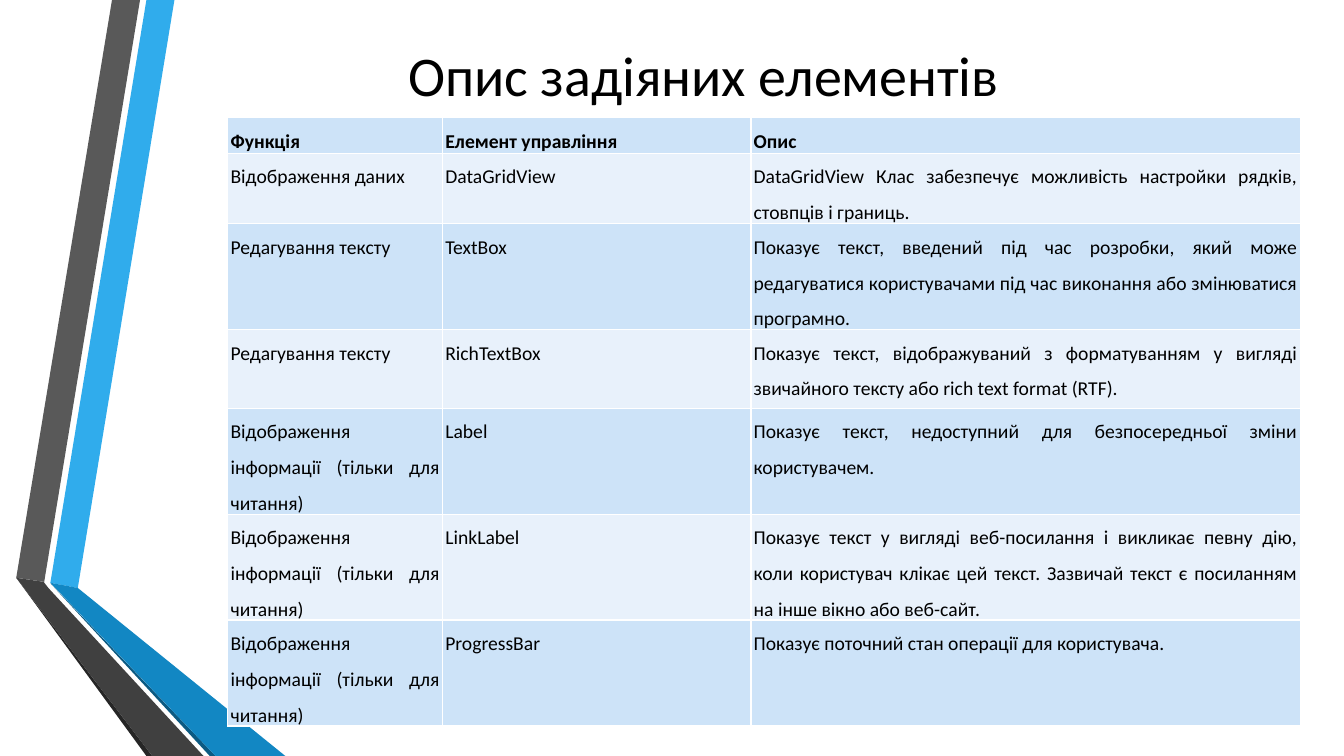
from typing import NamedTuple

from lxml import etree
from pptx import Presentation
from pptx.dml.color import RGBColor
from pptx.enum.text import MSO_ANCHOR, PP_ALIGN
from pptx.oxml.ns import qn
from pptx.util import Pt

MIDDLE, TOP = MSO_ANCHOR.MIDDLE, MSO_ANCHOR.TOP
CENTER, JUSTIFY = PP_ALIGN.CENTER, PP_ALIGN.JUSTIFY
FONT = "Calibri"
BLACK, WHITE = "000000", "FFFFFF"
BANDS = ("CDE3F8", "E8F1FB")


class Strip(NamedTuple):
    fill: str
    points: list[tuple[float, float]]


class Row(NamedTuple):
    height: float
    texts: tuple[str, str, str]


STRIPS = [
    Strip("30ACEC", [(36, 416.3), (55.6, 420), (124.6, 0), (104.6, 0)]),
    Strip("595959", [(100, 0), (80, 0), (11.6, 412.7), (31.6, 415.6)]),
    Strip("262626", [(11.6, 412.7), (104.6, 540), (108.8, 540)]),
    Strip("0C5A82", [(36, 416.7), (149.8, 540), (154, 540)]),
    Strip("1287C3", [(36, 416.3), (154, 540), (203.8, 540), (55.6, 420)]),
    Strip("404040", [(145.4, 540), (34.6, 420), (31.2, 415.6), (11.6, 412.7),
                     (108.8, 540)]),
]

EDIT = "Редагування тексту"
SHOW = "Відображення інформації (тільки для читання)"
WIDTHS = (153.4, 220.3, 392.4)
ROWS = [
    Row(21.6, ("Функція", "Елемент управління", "Опис")),
    Row(44.6, ("Відображення даних", "DataGridView",
               "DataGridView Клас забезпечує можливість настройки рядків, "
               "стовпців і границь.")),
    Row(67.7, (EDIT, "TextBox",
               "Показує текст, введений під час розробки, який може "
               "редагуватися користувачами під час виконання або "
               "змінюватися програмно.")),
    Row(56.2, (EDIT, "RichTextBox",
               "Показує текст, відображуваний з форматуванням у вигляді "
               "звичайного тексту або rich text format (RTF).")),
    Row(67.7, (SHOW, "Label",
               "Показує текст, недоступний для безпосередньої зміни "
               "користувачем.")),
    Row(67.7, (SHOW, "LinkLabel",
               "Показує текст у вигляді веб-посилання і викликає певну дію, "
               "коли користувач клікає цей текст. Зазвичай текст є "
               "посиланням на інше вікно або веб-сайт.")),
    Row(67.7, (SHOW, "ProgressBar",
               "Показує поточний стан операції для користувача.")),
]


def paint(target, color: str) -> None:
    """Give a fill or a font a solid colour."""
    if hasattr(target, "solid"):
        target.solid()
        target.fore_color.rgb = RGBColor.from_string(color)
    else:
        target.color.rgb = RGBColor.from_string(color)


def write(frame, text: str, size: float, align, bold: bool = False) -> None:
    frame.word_wrap = True
    frame.text = text
    line = frame.paragraphs[0]
    line.alignment = align
    font = line.runs[0].font
    font.name, font.size, font.bold = FONT, Pt(size), bold
    paint(font, BLACK)


def add_strip(slide, strip: Strip) -> None:
    first, *rest = [(Pt(x), Pt(y)) for x, y in strip.points]
    pen = slide.shapes.build_freeform(*first)
    pen.add_line_segments(rest, close=True)
    shape = pen.convert_to_shape()
    shape.shadow.inherit = False
    shape.line.fill.background()
    paint(shape.fill, strip.fill)


def add_title(slide, text: str) -> None:
    box = slide.shapes.add_textbox(Pt(108), Pt(22.3), Pt(789.1), Pt(61.9))
    box.text_frame.vertical_anchor = MIDDLE
    write(box.text_frame, text, 40, CENTER)


def add_edges(cell) -> None:
    """Draw thin white borders; call before filling the cell."""
    props = cell._tc.get_or_add_tcPr()
    for side in ("a:lnL", "a:lnR", "a:lnT", "a:lnB"):
        edge = etree.SubElement(props, qn(side), w=str(Pt(1)))
        fill = etree.SubElement(edge, qn("a:solidFill"))
        etree.SubElement(fill, qn("a:srgbClr"), val=WHITE)


def add_grid(slide, rows: list[Row]) -> None:
    high = sum(row.height for row in rows)
    table = slide.shapes.add_table(
        len(rows), len(WIDTHS), Pt(162.7), Pt(84.2), Pt(sum(WIDTHS)), Pt(high)
    ).table
    for col, width in zip(table.columns, WIDTHS):
        col.width = Pt(width)
    for i, row in enumerate(rows):
        table.rows[i].height = Pt(row.height)
        for j, text in enumerate(row.texts):
            cell = table.cell(i, j)
            cell.margin_left = cell.margin_right = Pt(2)
            cell.margin_top = cell.margin_bottom = Pt(0)
            cell.vertical_anchor = TOP
            add_edges(cell)
            paint(cell.fill, BANDS[i % 2])
            write(cell.text_frame, text, 14, JUSTIFY, bold=i == 0)
            cell.text_frame.paragraphs[0].line_spacing = 1.5


def main() -> None:
    deck = Presentation()
    deck.slide_width, deck.slide_height = Pt(960), Pt(540)
    slide = deck.slides.add_slide(deck.slide_layouts[6])
    paint(slide.background.fill, WHITE)
    for strip in STRIPS:
        add_strip(slide, strip)
    add_title(slide, "Опис задіяних елементів")
    add_grid(slide, ROWS)
    deck.save("out.pptx")


if __name__ == "__main__":
    main()
